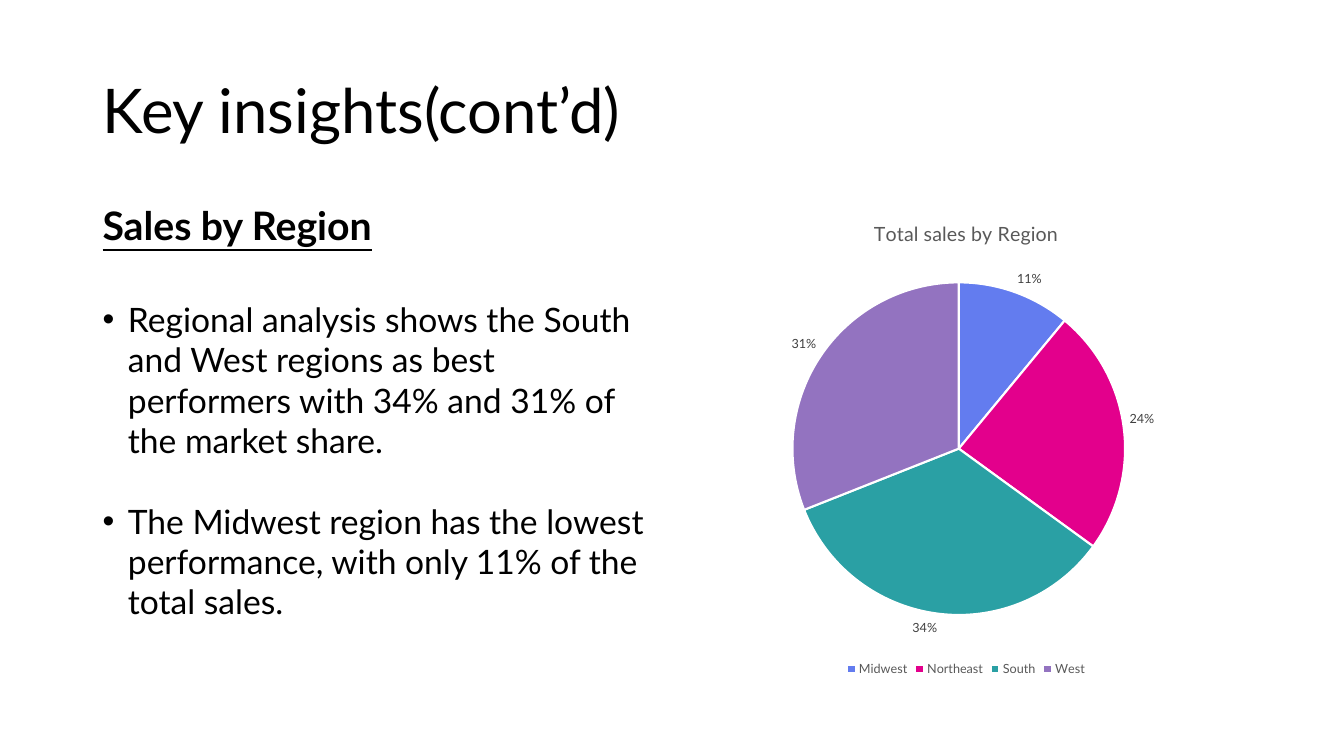
from pptx import Presentation
from pptx import util as u
from pptx.chart.data import CategoryChartData
from pptx.dml.color import RGBColor
from pptx.enum import chart as ch, text
from lxml import etree

COLORS = {
    "text": "000000", "caption": "595959", "label": "404040", "edge": "FFFFFF",
    "Midwest": "637CEF", "Northeast": "E3008C", "South": "2AA0A4", "West": "9373C0",
}
SALES_SHARE = {"Midwest": 11, "Northeast": 24, "South": 34, "West": 31}
BULLETS = [
    "Regional analysis shows the South and West regions as best performers "
    "with 34% and 31% of the market share.",
    "The Midwest region has the lowest performance, with only 11% of the total sales.",
]


class SlideBuilder:
    """Holds the style and the current slide."""

    def __init__(self, prs, font="Lato"):
        self.font = font
        self.s = prs.slides.add_slide(prs.slide_layouts[1])

    def color(self, name):
        return RGBColor.from_string(COLORS[name])

    def style(self, font, size, color="text", bold=False, underline=None):
        font.name, font.size = self.font, u.Pt(size)
        font.bold, font.underline = bold, underline
        font.color.rgb = self.color(color)

    def place(self, sp, left, top, width, height, anchor):
        sp.left, sp.top = u.Cm(left), u.Cm(top)
        sp.width, sp.height = u.Cm(width), u.Cm(height)
        tf = sp.text_frame
        tf.word_wrap = True
        tf.auto_size = text.MSO_AUTO_SIZE.NONE
        tf.vertical_anchor = anchor
        return tf

    def paragraph(self, p, words, size, spacing, before, bullet=None, **look):
        p.text = words
        p.alignment = text.PP_ALIGN.LEFT
        p.line_spacing, p.space_before = spacing, u.Pt(before)
        self.style(p.runs[0].font, size, **look)
        # Hanging indent and bullet character
        pPr = p._p.get_or_add_pPr()
        hang = u.Cm(0.64) if bullet is not None else 0
        pPr.set("marL", str(hang))
        pPr.set("indent", str(-hang))
        ns = pPr.nsmap["a"]
        if bullet:
            font = etree.SubElement(pPr, f"{{{ns}}}buFont")
            font.set("typeface", "Arial")
            etree.SubElement(pPr, f"{{{ns}}}buChar").set("char", bullet)
        else:
            etree.SubElement(pPr, f"{{{ns}}}buNone")

    def title(self, words, *box):
        tf = self.place(self.s.shapes.title, *box, text.MSO_ANCHOR.MIDDLE)
        self.paragraph(tf.paragraphs[0], words, 44, 0.9, 0)

    def body(self, heading, bullets, *box):
        tf = self.place(self.s.placeholders[1], *box, text.MSO_ANCHOR.TOP)
        self.paragraph(tf.paragraphs[0], heading, 28, 0.9, 10, bullet="",
                       bold=True, underline=True)
        for words, before in zip(bullets, (36, 28.8)):
            self.paragraph(tf.add_paragraph(), words, 24, 1.0, before, bullet="•")

    def pie(self, title, shares, *box):
        data = CategoryChartData()
        data.categories = list(shares)
        data.add_series("Series 1", list(shares.values()))
        chart = self.s.shapes.add_chart(
            ch.XL_CHART_TYPE.PIE, *(u.Cm(v) for v in box), data).chart
        self.style(chart.font, 10)

        # Title and legend
        chart.has_title = True
        tf = chart.chart_title.text_frame
        tf.text = title
        self.style(tf.paragraphs[0].runs[0].font, 14, "caption")
        chart.has_legend = True
        chart.legend.position = ch.XL_LEGEND_POSITION.BOTTOM
        chart.legend.include_in_layout = False
        self.style(chart.legend.font, 9, "caption")

        # Slices
        plot = chart.plots[0]
        plot.vary_by_categories = True
        for i, region in enumerate(shares):
            fmt = plot.series[0].points[i].format
            fmt.fill.solid()
            fmt.fill.fore_color.rgb = self.color(region)
            fmt.line.color.rgb = self.color("edge")
            fmt.line.width = u.Pt(1.5)

        # Percent labels
        labels = plot.series[0].data_labels
        labels.show_percentage = True
        labels.show_value = False
        labels.number_format, labels.number_format_is_linked = "0%", False
        labels.position = ch.XL_LABEL_POSITION.OUTSIDE_END
        self.style(labels.font, 9, "label")


def main():
    prs = Presentation()
    prs.slide_width, prs.slide_height = u.Cm(33.87), u.Cm(19.05)
    b = SlideBuilder(prs)
    b.title("Key insights(cont’d)", 2.33, 1.01, 29.21, 3.68)
    b.body("Sales by Region", BULLETS, 2.33, 5.07, 14.4, 12.95)
    b.pie("Total sales by Region", SALES_SHARE, 17.15, 5.07, 14.4, 12.09)
    prs.save("out.pptx")


if __name__ == "__main__":
    main()
